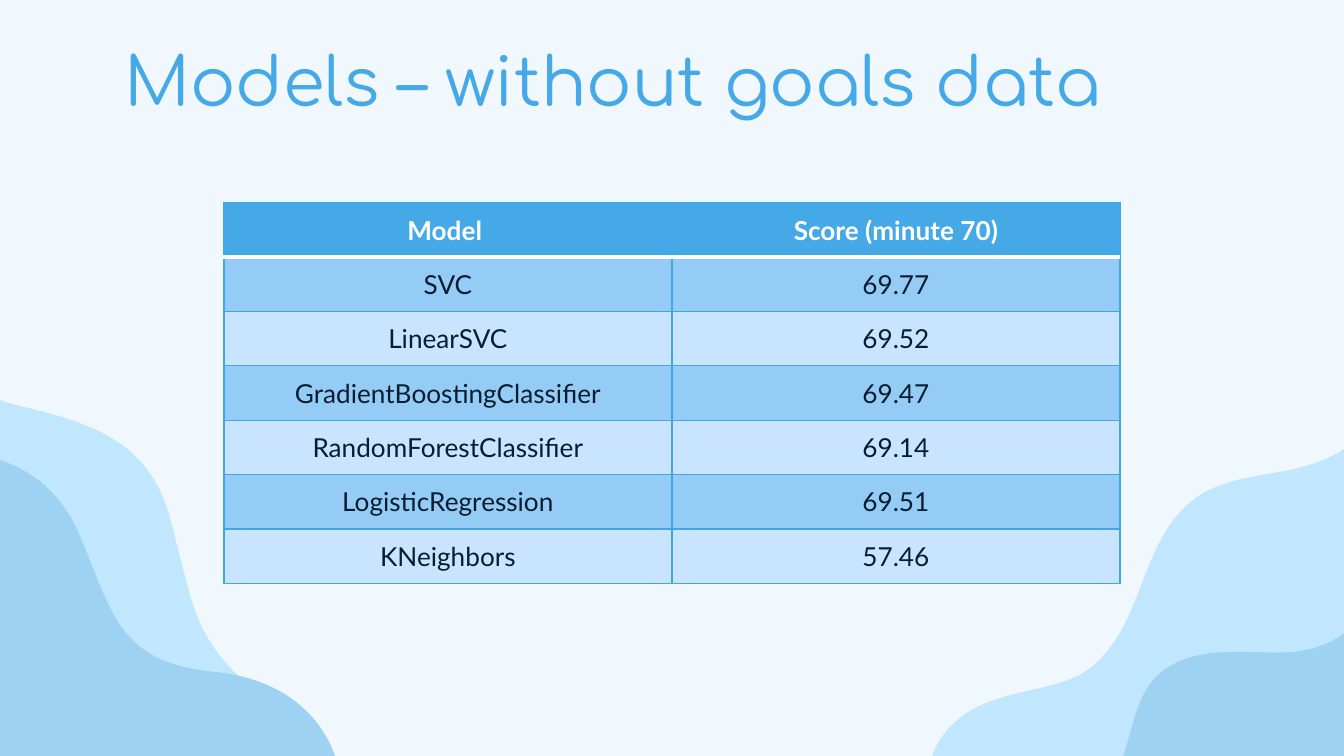
from lxml.etree import SubElement
from pptx import Presentation
from pptx.dml.color import RGBColor
from pptx.enum.text import MSO_ANCHOR, PP_ALIGN
from pptx.oxml import parse_xml
from pptx.oxml.ns import nsdecls, qn
from pptx.util import Pt

COLORS = {
    "background": "F0F7FD",
    "accent": "46A9E7",
    "light_wave": "C1E7FF",
    "deep_wave": "9ED2F2",
    "odd_row": "95CCF5",
    "even_row": "C9E4FF",
    "border": "41A6E6",
    "ink": "091D31",
    "white": "FFFFFF",
}

SCORES = [
    ("Model ", "Score (minute 70)"),
    ("SVC", "69.77"),
    ("LinearSVC", "69.52"),
    ("GradientBoostingClassifier", "69.47"),
    ("RandomForestClassifier", "69.14"),
    ("LogisticRegression", "69.51"),
    ("KNeighbors", "57.46"),
]

# Each wave: colour, start point, then lines (x, y) and cubic curves (two controls, end)
WAVES = [
    ("light_wave", (494.6, 426.2), [
        (500.4, 362.2, 558, 377.3, 583.2, 358.6),
        (615.6, 334.1, 609.1, 284.4, 645.8, 263.5),
        (659.5, 256.3, 675.4, 254.9, 690.5, 252),
        (705.6, 248.4, 721.4, 243.4, 729.4, 231.1),
        (736, 222.5, 736.6, 211.7, 737.3, 200.9),
        (738, 190.8, 739.4, 180, 745.2, 170.6),
        (751, 162, 771.8, 141.8, 793.4, 152.6),
        (795.6, 153.4, 797.8, 430.6, 797.8, 430.6),
    ]),
    ("deep_wave", (797.8, 192.2), [
        (768.2, 180.7, 744.5, 207.4, 750.2, 236.2),
        (754.6, 261.4, 752.4, 280.8, 747.4, 297.4),
        (740.9, 317.5, 727.9, 338.4, 708.5, 345.6),
        (694.1, 351.4, 678.2, 349.2, 662.4, 349.2),
        (647.3, 349.2, 630.7, 351.4, 619.9, 362.2),
        (606.2, 375.1, 607, 397.4, 597.6, 414),
        (596.2, 416.2, 594.7, 418.3, 593.3, 420.5),
        (797.8, 420.5),
    ]),
    ("light_wave", (164.9, 403.9), [
        (158.4, 389.5, 145.4, 378.7, 133.9, 367.9),
        (121.7, 357.1, 112.3, 346.3, 105.8, 330.5),
        (100.1, 316.8, 92.9, 281.5, 89.3, 271.4),
        (74.9, 230.4, 38.2, 224.6, 5, 216),
        (-2.9, 213.8, -10.1, 210.2, -16.6, 205.9),
        (-16.6, 355.7),
        (-20.2, 429.8),
        (167, 429.8),
        (169.2, 421.2, 168.5, 411.8, 164.9, 403.9),
    ]),
    ("deep_wave", (-16.6, 427.7), [
        (183.6, 427.7),
        (182.9, 396, 162.7, 365, 115.2, 360),
        (63.4, 355, 60.5, 329, 43.2, 288),
        (28.1, 250.6, -3.6, 244.1, -16.6, 243.4),
    ]),
]


def rgb(name):
    return RGBColor.from_string(COLORS[name])


def style_text(paragraph, font_name, size, color, bold=False):
    for run in paragraph.runs:
        run.font.name = font_name
        run.font.size = Pt(size)
        run.font.bold = bold
        run.font.color.rgb = rgb(color)


def bend_lines(wave, segments):
    """Join the lines through each pair of control points into one cubic curve."""
    lines = iter(list(wave._element.iter(qn("a:lnTo"))))
    for segment in segments:
        parts = [next(lines) for _ in range(len(segment) // 2)]
        if len(parts) == 3:
            curve = parse_xml(f"<a:cubicBezTo {nsdecls('a')}/>")
            parts[0].addprevious(curve)
            for part in parts:
                curve.append(part[0])
                part.getparent().remove(part)


def add_wave(slide, color, start, segments):
    vertices = [
        (Pt(x), Pt(y)) for segment in segments for x, y in zip(segment[::2], segment[1::2])
    ]
    builder = slide.shapes.build_freeform(Pt(start[0]), Pt(start[1]))
    builder.add_line_segments(vertices, close=True)
    wave = builder.convert_to_shape()
    bend_lines(wave, segments)
    wave.shadow.inherit = False
    wave.fill.solid()
    wave.fill.fore_color.rgb = rgb(color)
    wave.line.fill.background()


def add_title(slide, text):
    title = slide.shapes.add_textbox(Pt(59.5), Pt(20.4), Pt(607), Pt(45))
    frame = title.text_frame
    frame.word_wrap = True
    frame.vertical_anchor = MSO_ANCHOR.MIDDLE
    frame.margin_left = frame.margin_right = Pt(7.2)
    frame.margin_top = frame.margin_bottom = Pt(7.2)
    frame.text = text
    style_text(frame.paragraphs[0], "Comfortaa", 36, "accent")


def add_border(cell, side, color, width):
    edge = SubElement(cell._tc.get_or_add_tcPr(), qn(f"a:ln{side}"), w=str(Pt(width)))
    fill = SubElement(edge, qn("a:solidFill"))
    SubElement(fill, qn("a:srgbClr"), val=COLORS[color])


def fill_cell(cell, text, row):
    header = row == 0
    # Borders come before the fill; a white rule parts the header from the body
    for side in "LRTB":
        under_header = (row, side) in ((0, "B"), (1, "T"))
        add_border(cell, side, *(("white", 2) if under_header else ("border", 0.75)))
    cell.fill.solid()
    cell.fill.fore_color.rgb = rgb(
        "accent" if header else "odd_row" if row % 2 else "even_row")
    cell.vertical_anchor = MSO_ANCHOR.MIDDLE
    cell.text = text
    paragraph = cell.text_frame.paragraphs[0]
    paragraph.alignment = PP_ALIGN.CENTER
    style_text(paragraph, "Lato", 14, "white" if header else "ink", bold=header)


def add_score_table(slide, scores):
    table = slide.shapes.add_table(
        len(scores), 2, Pt(120), Pt(108.6), Pt(480), Pt(204.05)).table
    table.horz_banding = False
    for row, entry in enumerate(scores):
        table.rows[row].height = Pt(29.15)
        for column, text in enumerate(entry):
            fill_cell(table.cell(row, column), text, row)


def main():
    deck = Presentation()
    deck.slide_width, deck.slide_height = Pt(720), Pt(405)
    slide = deck.slides.add_slide(deck.slide_layouts[6])

    # Backdrop
    slide.background.fill.solid()
    slide.background.fill.fore_color.rgb = rgb("background")
    for color, start, segments in WAVES:
        add_wave(slide, color, start, segments)

    # Content
    add_title(slide, "Models – without goals data")
    add_score_table(slide, SCORES)
    deck.save("out.pptx")


if __name__ == "__main__":
    main()
